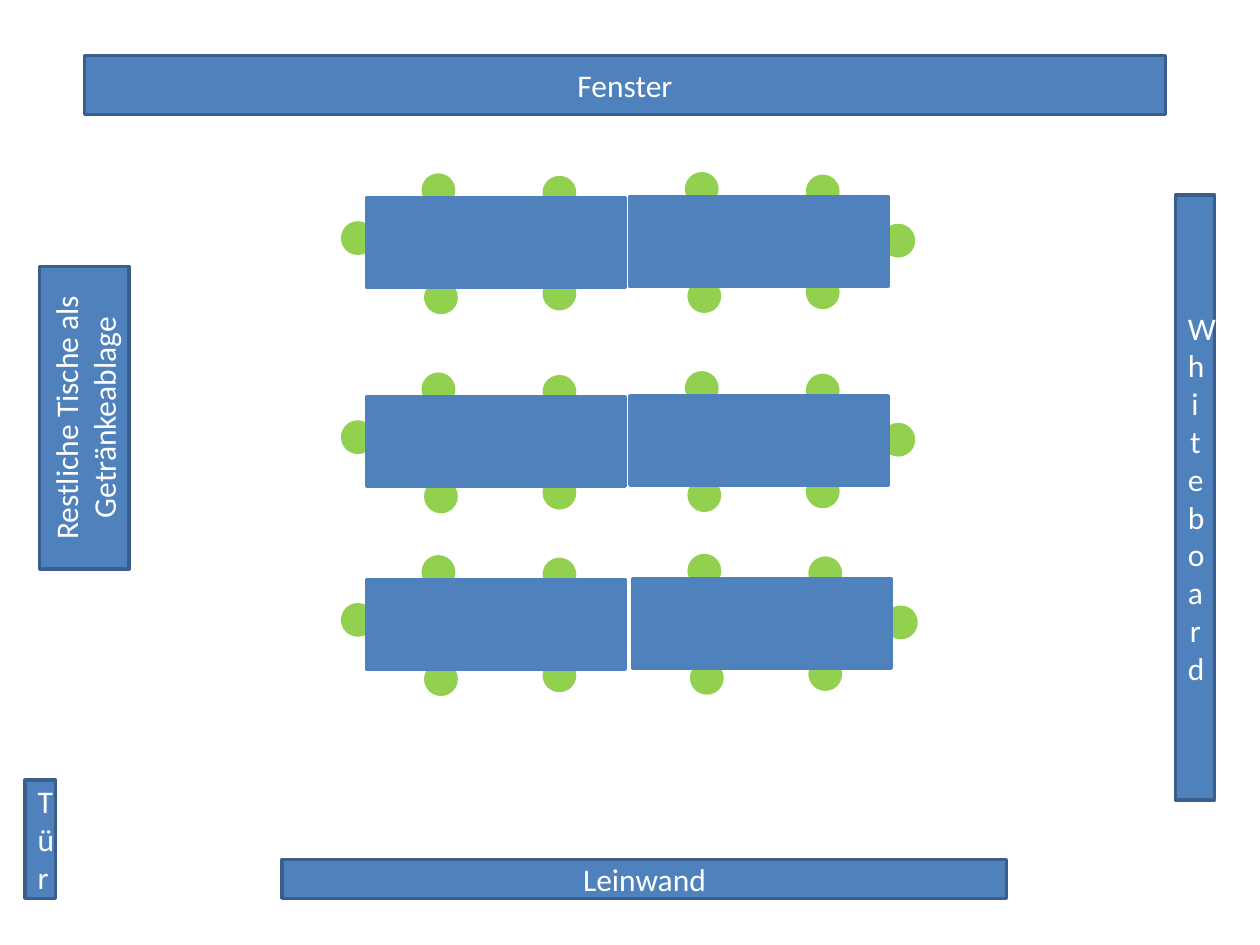
from dataclasses import dataclass

from pptx import Presentation
from pptx.dml.color import RGBColor
from pptx.enum.shapes import MSO_SHAPE
from pptx.enum.text import MSO_ANCHOR, PP_ALIGN
from pptx.util import Inches, Pt

RECTANGLE = MSO_SHAPE.RECTANGLE
OVAL = MSO_SHAPE.OVAL
MIDDLE = MSO_ANCHOR.MIDDLE
CENTER = PP_ALIGN.CENTER


@dataclass(frozen=True)
class Theme:
    blue: str = "4F81BD"
    dark_blue: str = "3A5F8C"
    green: str = "92D050"
    white: str = "FFFFFF"
    font: str = "Calibri"
    label_size: float = 18
    line_width: float = 2


@dataclass(frozen=True)
class Fixture:
    """A labelled part of the room, such as a wall or a door."""
    label: str
    left: float
    top: float
    width: float
    height: float
    rotation: float = 0


@dataclass(frozen=True)
class Table:
    left: float
    top: float
    end_chair: tuple[float, float]


THEME = Theme()

FIXTURES = [
    Fixture("Fenster", 0.67, 0.44, 8.58, 0.47),
    Fixture("Leinwand", 2.24, 6.82, 5.75, 0.31),
    Fixture("Whiteboard", 9.33, 1.55, 0.31, 4.8),
    Fixture("Restliche Tische als Getränkeablage", -0.53, 2.96, 2.4, 0.71, 270),
    Fixture("Tür", 0.2, 6.19, 0.24, 0.94),
]

TABLE_WIDTH, TABLE_HEIGHT = 2.05, 0.71
CHAIR_SIZE = 0.24
# Chair positions are measured from the table's top left corner.
SIDE_CHAIRS = [(0.45, -0.18), (1.41, -0.16), (0.47, 0.67), (1.41, 0.64)]
LEFT_END, RIGHT_END = (-0.19, 0.2), (2.01, 0.23)

TABLES = [
    Table(5, 1.56, RIGHT_END),
    Table(2.91, 1.57, LEFT_END),
    Table(2.91, 3.15, LEFT_END),
    Table(2.91, 4.6, LEFT_END),
    Table(5, 3.14, RIGHT_END),
    Table(5.02, 4.59, RIGHT_END),
]


def add_filled_shape(shapes, kind: MSO_SHAPE, left: float, top: float,
                     width: float, height: float, *, fill: str, line: str):
    shape = shapes.add_shape(kind, Inches(left), Inches(top),
                             Inches(width), Inches(height))
    shape.shadow.inherit = False
    shape.fill.solid()
    shape.fill.fore_color.rgb = RGBColor.from_string(fill)
    shape.line.color.rgb = RGBColor.from_string(line)
    shape.line.width = Pt(THEME.line_width)
    return shape


def write_text(shape, text: str, *, size: float, color: str,
               alignment: PP_ALIGN = CENTER) -> None:
    frame = shape.text_frame
    frame.word_wrap = True
    frame.vertical_anchor = MIDDLE
    paragraph = frame.paragraphs[0]
    paragraph.alignment = alignment
    run = paragraph.add_run()
    run.text = text
    run.font.name = THEME.font
    run.font.size = Pt(size)
    run.font.color.rgb = RGBColor.from_string(color)


def add_fixture(slide, fixture: Fixture) -> None:
    shape = add_filled_shape(slide.shapes, RECTANGLE, fixture.left, fixture.top,
                             fixture.width, fixture.height,
                             fill=THEME.blue, line=THEME.dark_blue)
    shape.rotation = fixture.rotation
    write_text(shape, fixture.label, size=THEME.label_size, color=THEME.white)


def add_table_with_chairs(slide, table: Table) -> None:
    """Group a table with its chairs, which are partly hidden under it."""
    group = slide.shapes.add_group_shape()
    for across, down in [table.end_chair, *SIDE_CHAIRS]:
        add_filled_shape(group.shapes, OVAL, table.left + across,
                         table.top + down, CHAIR_SIZE, CHAIR_SIZE,
                         fill=THEME.green, line=THEME.green)
    add_filled_shape(group.shapes, RECTANGLE, table.left, table.top,
                     TABLE_WIDTH, TABLE_HEIGHT,
                     fill=THEME.blue, line=THEME.blue)


def main() -> None:
    presentation = Presentation()
    presentation.slide_width = Inches(10)
    presentation.slide_height = Inches(7.5)
    slide = presentation.slides.add_slide(presentation.slide_layouts[6])
    for fixture in FIXTURES:
        add_fixture(slide, fixture)
    for table in TABLES:
        add_table_with_chairs(slide, table)
    presentation.save("out.pptx")


if __name__ == "__main__":
    main()
